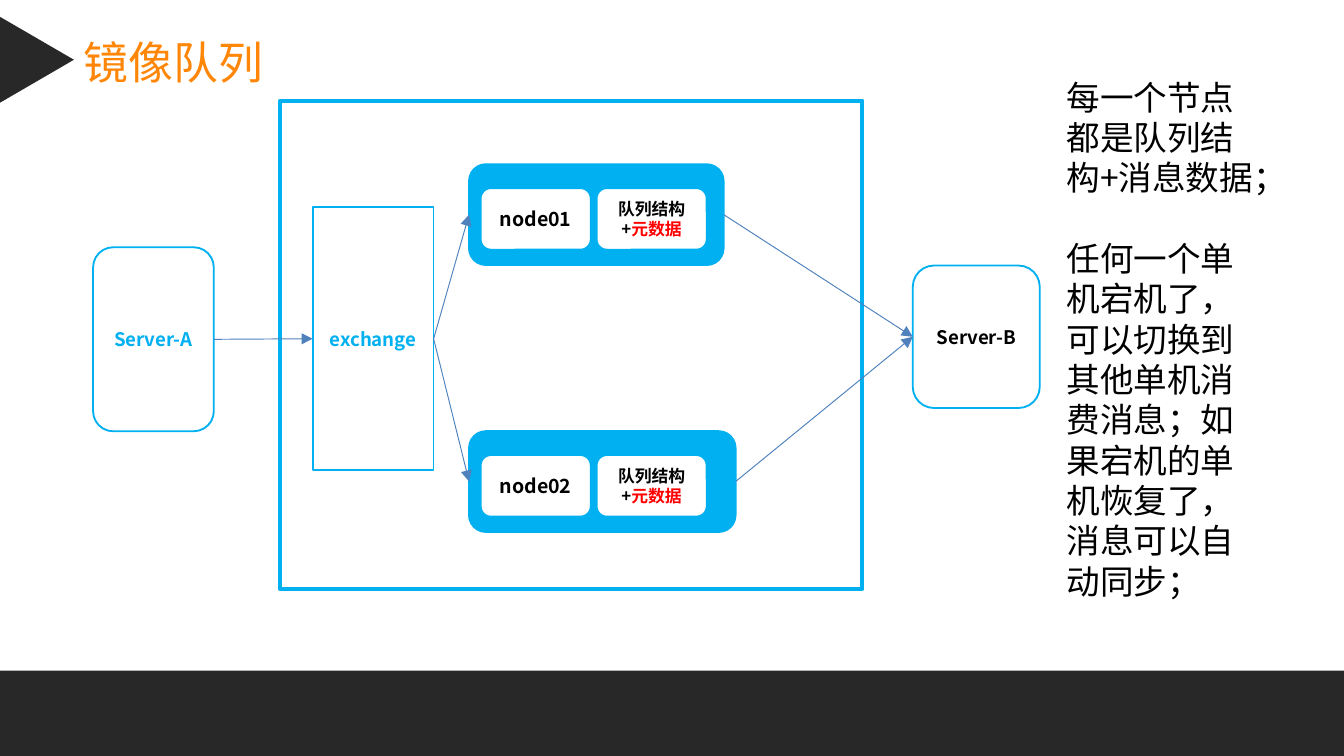
from lxml import etree
from pptx import Presentation
from pptx.dml.color import RGBColor
from pptx.enum.shapes import MSO_CONNECTOR, MSO_SHAPE
from pptx.enum.text import MSO_ANCHOR, MSO_AUTO_SIZE, PP_ALIGN
from pptx.oxml.ns import qn
from pptx.util import Pt

RECT, ROUND = MSO_SHAPE.RECTANGLE, MSO_SHAPE.ROUNDED_RECTANGLE
TRIANGLE = MSO_SHAPE.ISOSCELES_TRIANGLE
STRAIGHT = MSO_CONNECTOR.STRAIGHT
LEFT, CENTER = PP_ALIGN.LEFT, PP_ALIGN.CENTER
TOP, MIDDLE = MSO_ANCHOR.TOP, MSO_ANCHOR.MIDDLE
LEFT_SITE, RIGHT_SITE = 1, 3

THEME = {
    "blue": "00B0F0", "dark": "282828", "orange": "FF8607", "white": "FFFFFF",
    "black": "000000", "red": "FF0000", "arrow": "4F81BD",
    "head": "Arial Narrow", "body": "Noto Sans CJK SC",
    "title": 24, "note": 18, "node": 10.5, "server": 10, "data": 9,
    "leading": 1.2,
}

SIZE = (720, 405)
TITLE = "镜像队列"
NOTES = [
    "每一个节点都是队列结构+消息数据；",
    "任何一个单机宕机了，可以切换到其他单机消费消息；如果宕机的单机恢复了，消息可以自动同步；",
]
DATA = [("队列结构+", "black"), ("元数据", "red")]

# name, preset, box, fill, text colour
SERVERS = [
    ("Server-A", ROUND, (49.9, 132.5, 64.7, 98.6), None, "blue"),
    ("exchange", RECT, (167.5, 111, 64.8, 141), "white", "blue"),
    ("Server-B", ROUND, (489, 142.3, 68, 76.3), None, "black"),
]
# name, top, width
NODES = [("node01", 88, 136.4), ("node02", 231, 142.8)]
NODE_LEFT, NODE_HIGH = 251.3, 54
CARD = (59, 33)
CARD_TOP = 12.8
CARD_LEFTS = (6.2, 68.3)
LINKS = [
    ("Server-A", "exchange"),
    ("exchange", "node01"), ("exchange", "node02"),
    ("node01", "Server-B"), ("node02", "Server-B"),
]


def color(name):
    return RGBColor.from_string(THEME[name])


def place(shape, box):
    for key, value in zip(("left", "top", "width", "height"), box):
        setattr(shape, key, Pt(value))


def write(shape, paras, size, font="body", bold=None, align=CENTER,
          anchor=MIDDLE, wrap=True):
    """Fill a shape with paragraphs, each a list of (text, colour) runs."""
    frame = shape.text_frame
    form = {"word_wrap": wrap, "auto_size": MSO_AUTO_SIZE.NONE,
            "vertical_anchor": anchor, "margin_left": Pt(7.2),
            "margin_right": Pt(7.2), "margin_top": Pt(3.6),
            "margin_bottom": Pt(3.6)}
    for key, value in form.items():
        setattr(frame, key, value)
    lead = Pt(THEME[size] * THEME["leading"])
    for i, runs in enumerate(paras):
        para = frame.add_paragraph() if i else frame.paragraphs[0]
        para.alignment = align
        para.line_spacing = lead
        para.space_before = lead if i else Pt(0)
        for text, tint in runs:
            run = para.add_run()
            run.text = text
            form = {"name": THEME[font], "size": Pt(THEME[size]), "bold": bold}
            for key, value in form.items():
                setattr(run.font, key, value)
            run.font.color.rgb = color(tint)


def draw(shapes, kind, box, fill=None, line=None, weight=1):
    shape = shapes.add_shape(kind, *map(Pt, box))
    shape.shadow.inherit = False
    if fill:
        shape.fill.solid()
        shape.fill.fore_color.rgb = color(fill)
    else:
        shape.fill.background()
    if line:
        shape.line.color.rgb = color(line)
        shape.line.width = Pt(weight)
    else:
        shape.line.fill.background()
    return shape


def link(shapes, start, end):
    wire = shapes.add_connector(STRAIGHT, 0, 0, 0, 0)
    wire.begin_connect(start, RIGHT_SITE)
    wire.end_connect(end, LEFT_SITE)
    wire.line.color.rgb = color("arrow")
    wire.line.width = Pt(0.5)
    props = wire._element.spPr
    etree.SubElement(props.find(qn("a:ln")), qn("a:tailEnd"), type="triangle")
    etree.SubElement(props, qn("a:effectLst"))


def main():
    deck = Presentation()
    deck.slide_width, deck.slide_height = map(Pt, SIZE)
    slide = deck.slides.add_slide(deck.slide_layouts[5])
    shapes = slide.shapes

    draw(shapes, RECT, (150, 54, 312, 261.5), line="blue", weight=2.25)
    draw(shapes, RECT, (0, 359.3, 720, 45.7), fill="dark")
    draw(shapes, TRIANGLE, (-3.2, 12.2, 46, 39.6), fill="dark").rotation = 90

    place(shapes.title, (37.6, 15, 111.6, 36))
    write(shapes.title, [[(TITLE, "orange")]], "title", font="head",
          align=LEFT, anchor=TOP, wrap=False)

    ends = {}
    for name, kind, box, fill, tint in SERVERS:
        ends[name] = draw(shapes, kind, box, fill, "blue")
        write(ends[name], [[(name, tint)]], "server", bold=True)

    for name, top, width in NODES:
        box = (NODE_LEFT, top, width, NODE_HIGH)
        ends[name] = draw(shapes, ROUND, box, "blue", "blue")
        cards = [([(name, "black")], "node"), (DATA, "data")]
        for left, (runs, size) in zip(CARD_LEFTS, cards):
            box = (NODE_LEFT + left, top + CARD_TOP, *CARD)
            card = draw(shapes, ROUND, box, "white", "blue")
            write(card, [runs], size, bold=True)

    for start, end in LINKS:
        link(shapes, ends[start], ends[end])

    note = shapes.add_textbox(*map(Pt, (564.3, 37.5, 118.8, 290.8)))
    write(note, [[(text, "black")] for text in NOTES], "note",
          align=LEFT, anchor=TOP)
    deck.save("out.pptx")


if __name__ == "__main__":
    main()
